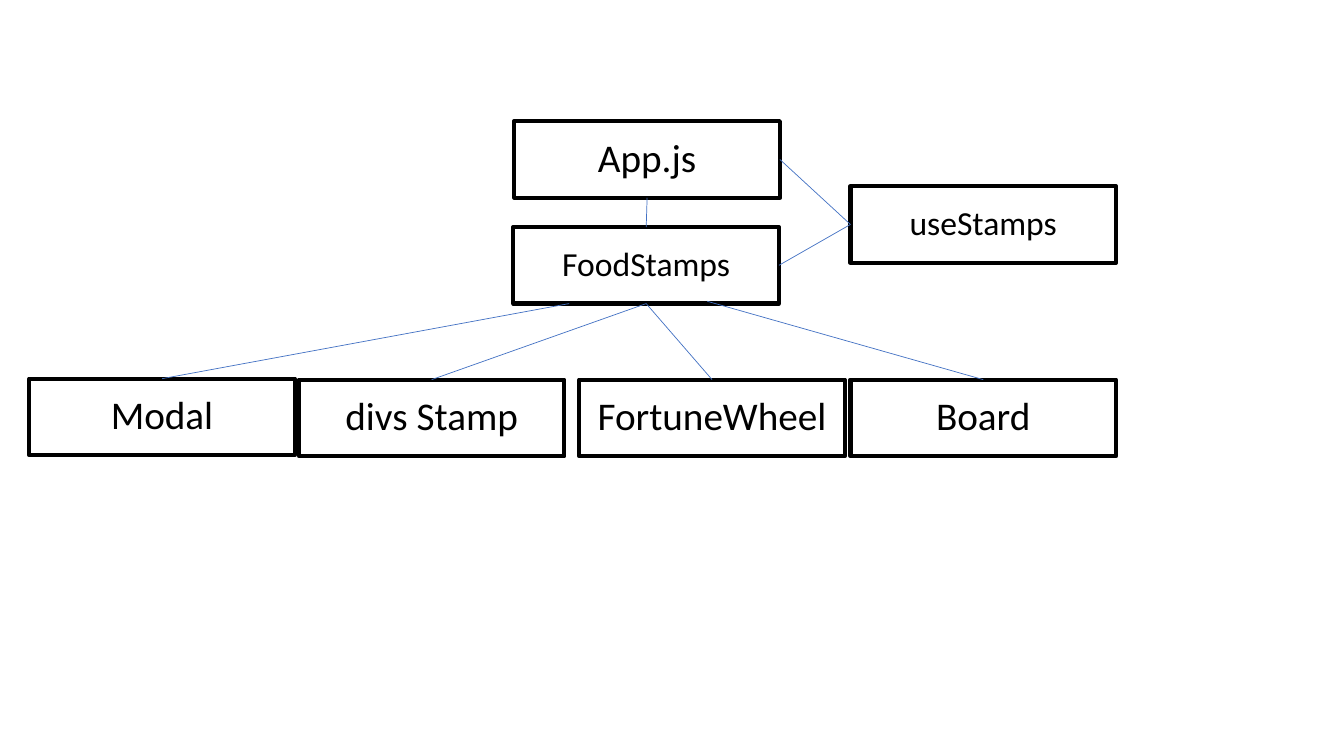
from pptx import Presentation
from pptx import util as u
from pptx.dml.color import RGBColor
from pptx.enum import shapes, text
from pptx.oxml.ns import qn
from lxml import etree

WIDE, HIGH = u.Inches(13.33), u.Inches(7.5)
BOX_W, BOX_H = 19.76, 10.13
TOP, LEFT, BASE, RIGHT = range(4)
BLACK, BLUE = "000000", "4472C4"

NODES = [
    ("App.js", 38.27, 16.03, 28),
    ("FoodStamps", 38.2, 30.03, 24),
    ("useStamps", 63.28, 24.63, 24),
    ("Modal", 2.18, 50.09, 28),
    ("divs Stamp", 22.24, 50.22, 28),
    ("FortuneWheel", 43.1, 50.22, 28),
    ("Board", 63.28, 50.22, 28),
]
LINKS = [
    ("App.js", BASE, "FoodStamps", TOP),
    ("useStamps", LEFT, "App.js", RIGHT),
    ("useStamps", LEFT, "FoodStamps", RIGHT),
    ("FoodStamps", BASE, "divs Stamp", TOP),
    ("FoodStamps", BASE, "FortuneWheel", TOP),
]
SPREAD = [("Modal", 0.21, 1), ("Board", 0.73, 0.97)]


def tint(code):
    """Turn a hex string into a colour."""
    return RGBColor.from_string(code)


def across(part):
    """Give a percentage of the slide's width."""
    return u.Emu(int(WIDE * part / 100))


def down(part):
    """Give a percentage of the slide's height."""
    return u.Emu(int(HIGH * part / 100))


def add_node(slide, name, left, top, size):
    """Add an outlined box with a centred name."""
    box = slide.shapes.add_shape(
        shapes.MSO_SHAPE.RECTANGLE,
        across(left), down(top), across(BOX_W), down(BOX_H))
    box.shadow.inherit = False
    box.fill.background()
    box.line.color.rgb = tint(BLACK)
    box.line.width = u.Pt(3)
    frame = box.text_frame
    frame.vertical_anchor = text.MSO_ANCHOR.MIDDLE
    frame.text = name
    para = frame.paragraphs[0]
    para.alignment = text.PP_ALIGN.CENTER
    para.line_spacing = 0.9
    para.space_before = u.Pt(10)
    para.font.name = "Calibri"
    para.font.size = u.Pt(size)
    para.font.color.rgb = tint(BLACK)
    return box


def add_line(slide, end, side, x=0, y=0):
    """Add a thin line from a point to one side of a box."""
    line = slide.shapes.add_connector(
        shapes.MSO_CONNECTOR.STRAIGHT, x, y, x, y)
    line.end_connect(end, side)
    line.line.color.rgb = tint(BLUE)
    line.line.width = u.Pt(0.5)
    etree.SubElement(line._element.spPr, qn("a:effectLst"))
    return line


def main():
    """Build the component tree."""
    deck = Presentation()
    deck.slide_width, deck.slide_height = WIDE, HIGH
    slide = deck.slides.add_slide(deck.slide_layouts[6])
    boxes = {node[0]: add_node(slide, *node) for node in NODES}
    for start, out, end, side in LINKS:
        add_line(slide, boxes[end], side).begin_connect(boxes[start], out)
    food = boxes["FoodStamps"]
    for end, share, drop in SPREAD:
        x = food.left + int(food.width * share)
        y = food.top + int(food.height * drop)
        add_line(slide, boxes[end], TOP, x, y)
    deck.save("out.pptx")


main()
